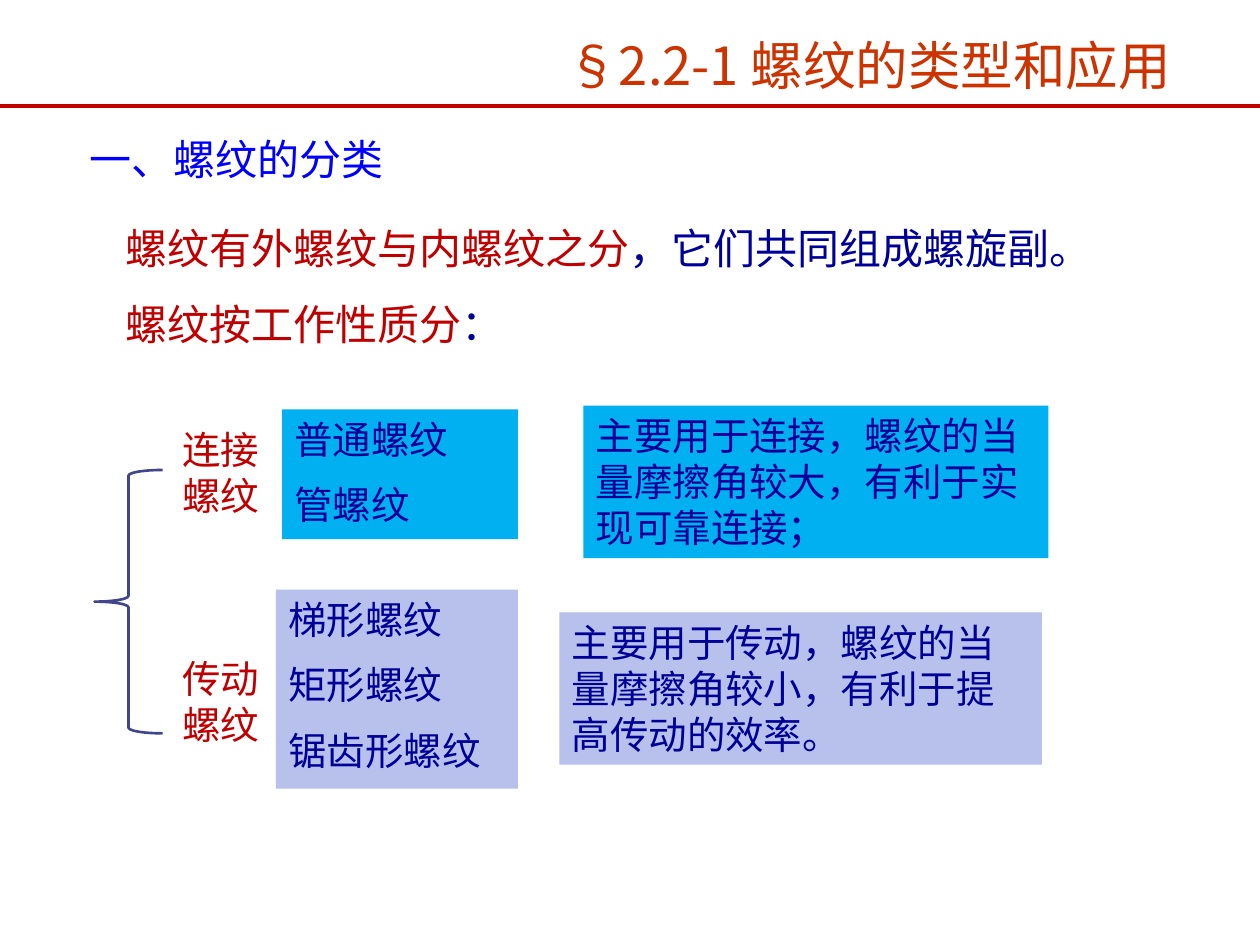
"""Build the slide on the types and uses of screw threads."""
from lxml import etree
from pptx import Presentation
from pptx.dml.color import RGBColor
from pptx.enum.shapes import MSO_CONNECTOR, MSO_SHAPE
from pptx.enum.text import MSO_ANCHOR, PP_ALIGN
from pptx.oxml.ns import qn
from pptx.util import Inches, Pt

RECT, BRACE = MSO_SHAPE.RECTANGLE, MSO_SHAPE.LEFT_BRACE
LINE = MSO_CONNECTOR.STRAIGHT
TOP, MID = MSO_ANCHOR.TOP, MSO_ANCHOR.MIDDLE
LEFT, CENTER = PP_ALIGN.LEFT, PP_ALIGN.CENTER

HAN, LATIN = "Noto Sans CJK SC", "Roboto"
WIDE, HIGH = 10, 7.5
COLORS = {
    "title": "CC3300", "head": "0000FF", "red": "C00000", "navy": "000099",
    "cyan": "00B0F0", "lilac": "B7C1EB", "brace": "40458C",
}

TITLE = ("§2.2-1 螺纹的类型和应用", (4.16, 0.23, 5.47, 0.6))
HEAD = ("一、螺纹的分类", (0.61, 1.01, 2.6, 0.5))
INTRO = [
    (("螺纹有外螺纹与内螺纹之分", "，它们共同组成螺旋副。"), (0.9, 1.72, 7.88, 0.5)),
    (("螺纹按工作性质分", "："), (0.9, 2.32, 3.2, 0.5)),
]
GROUPS = [
    {"fill": "cyan",
     "label": ("连接螺纹", (1.35, 3.33, 0.97, 0.84)),
     "kinds": (["普通螺纹", "管螺纹"], (2.24, 3.25, 1.87, 1.03)),
     "use": ("主要用于连接，螺纹的当量摩擦角较大，有利于实现可靠连接；",
             (4.63, 3.22, 3.69, 1.21))},
    {"fill": "lilac",
     "label": ("传动螺纹", (1.35, 5.15, 0.96, 0.84)),
     "kinds": (["梯形螺纹", "矩形螺纹", "锯齿形螺纹"], (2.19, 4.68, 1.92, 1.58)),
     "use": ("主要用于传动，螺纹的当量摩擦角较小，有利于提高传动的效率。",
             (4.44, 4.86, 3.83, 1.21))},
]
FORK = (0.75, 3.73, 0.54, 2.09)
RULE = 0.84


def rgb(name):
    return RGBColor.from_string(COLORS[name])


def place(box):
    return [Inches(part) for part in box]


def write(shape, lines, size, color, face=HAN, align=LEFT, anchor=TOP):
    frame = shape.text_frame
    frame.word_wrap = True
    frame.vertical_anchor = anchor
    for row, line in enumerate(lines):
        para = frame.add_paragraph() if row else frame.paragraphs[0]
        para.alignment = align
        if row:
            para.space_before = Pt(size / 2)
        para.font.size = Pt(size)
        para.font.name = face
        if isinstance(line, str):
            para.add_run().text = line
            para.font.color.rgb = rgb(color)
        else:
            for part, tint in zip(line, color):
                run = para.add_run()
                run.text = part
                run.font.color.rgb = rgb(tint)
        base = para._p.pPr.find(qn("a:defRPr"))
        etree.SubElement(base, qn("a:ea"), typeface=HAN)
    return frame


def add_text(slide, lines, box, *style, **more):
    return write(slide.shapes.add_textbox(*place(box)), lines, *style, **more)


def add_panel(slide, lines, box, fill, face):
    panel = slide.shapes.add_shape(RECT, *place(box))
    panel.shadow.inherit = False
    panel.fill.solid()
    panel.fill.fore_color.rgb = rgb(fill)
    panel.line.fill.background()
    write(panel, lines, 22, "navy", face)


def add_rule(slide):
    rule = slide.shapes.add_connector(LINE, *place((0, RULE, WIDE, RULE)))
    rule.line.color.rgb = rgb("red")
    rule.line.width = Pt(2.25)
    etree.SubElement(rule._element.spPr, qn("a:effectLst"))


def add_fork(slide):
    fork = slide.shapes.add_shape(BRACE, *place(FORK))
    fork.shadow.inherit = False
    fork.fill.background()
    fork.line.color.rgb = rgb("brace")
    fork.line.width = Pt(1.5)


def main():
    deck = Presentation()
    deck.slide_width, deck.slide_height = Inches(WIDE), Inches(HIGH)
    slide = deck.slides.add_slide(deck.slide_layouts[6])
    add_rule(slide)
    text, box = TITLE
    frame = add_text(slide, [text], box, 30, "title", align=CENTER, anchor=MID)
    frame.margin_top = Inches(0.02)
    text, box = HEAD
    add_text(slide, [text], box, 24, "head")
    for parts, box in INTRO:
        add_text(slide, [parts], box, 24, ("red", "navy"))
    for group in GROUPS:
        text, box = group["use"]
        add_panel(slide, [text], box, group["fill"], LATIN)
        text, box = group["label"]
        add_text(slide, [text], box, 22, "red")
        lines, box = group["kinds"]
        add_panel(slide, lines, box, group["fill"], HAN)
    add_fork(slide)
    deck.save("out.pptx")


if __name__ == "__main__":
    main()
